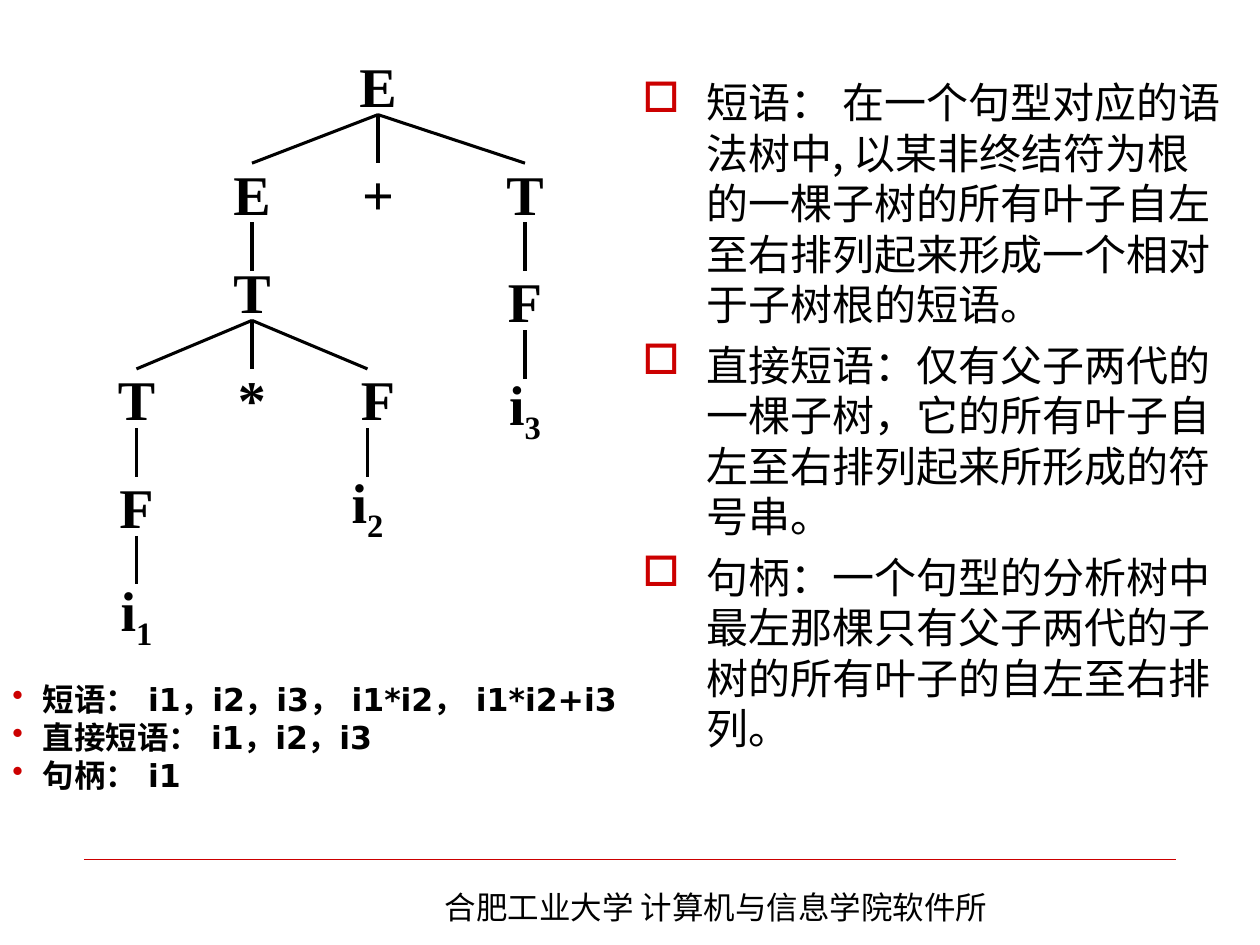
"""Build a slide on phrases and handles of a syntax tree."""
from dataclasses import dataclass

import pptx
import pptx.dml.color
import pptx.enum.shapes
import pptx.enum.text
import pptx.oxml
import pptx.oxml.ns
import pptx.util

WIDTH, HEIGHT = 10, 7.5
COLUMN = WIDTH / 120
TREE_TOP, LEVEL = 0.44, 0.855
LABEL_WIDTH, LABEL_HEIGHT = 8 * COLUMN, 0.47
BLACK, RED = "000000", "CC0000"
CJK, SANS, SERIF = "Noto Sans CJK SC", "DejaVu Sans", "Times New Roman"


@dataclass
class Node:
    """A tree symbol placed by column and level, with its label's shift."""
    symbol: str
    column: float
    level: float
    parent: str = ""
    subscript: str = ""
    shift: float = 0
    rise: float = 0

    @property
    def x(self) -> float:
        """Return the centre of the branch in inches."""
        return self.column * COLUMN

    @property
    def top(self) -> float:
        """Return the top of the label in inches."""
        return TREE_TOP + (self.level - self.rise) * LEVEL


@dataclass
class Bullet:
    """A bullet mark and its hanging indent in inches."""
    mark: str
    indent: float


TREE = {
    "sum": Node("E", 36, 0),
    "left": Node("E", 24, 1, "sum"),
    "plus": Node("+", 36, 1, "sum"),
    "right": Node("T", 50, 1, "sum"),
    "product": Node("T", 24, 2, "left", rise=0.09),
    "factor 3": Node("F", 50, 2, "right"),
    "first term": Node("T", 13, 2.91, "product"),
    "times": Node("*", 24, 2.91, "product"),
    "factor 2": Node("F", 35, 2.91, "product", shift=1),
    "i3": Node("i", 50, 3, "factor 3", "3"),
    "factor 1": Node("F", 13, 3.91, "first term"),
    "i2": Node("i", 35, 3.91, "factor 2", "2"),
    "i1": Node("i", 13, 4.91, "factor 1", "1"),
}

DEFINITIONS = [
    "短语： 在一个句型对应的语法树中, 以某非终结符为根的一棵子树的所有叶子自左至右排列起来形成一个相对于子树根的短语。",
    "直接短语：仅有父子两代的一棵子树，它的所有叶子自左至右排列起来所形成的符号串。",
    "句柄：一个句型的分析树中最左那棵只有父子两代的子树的所有叶子的自左至右排列。",
]
ANSWERS = ["短语： i1，i2，i3， i1*i2， i1*i2+i3", "直接短语： i1，i2，i3", "句柄： i1"]


def color(value: str) -> pptx.dml.color.RGBColor:
    """Turn a hex string into a colour."""
    return pptx.dml.color.RGBColor.from_string(value)


def add_bullet(paragraph, bullet: Bullet) -> None:
    """Give a paragraph a red bullet with a hanging indent."""
    properties = paragraph._p.get_or_add_pPr()
    indent = pptx.util.Inches(bullet.indent)
    properties.set("marL", str(indent))
    properties.set("indent", str(-indent))
    namespace = pptx.oxml.ns.nsdecls("a")
    for xml in (f'<a:buClr {namespace}><a:srgbClr val="{RED}"/></a:buClr>',
                f'<a:buChar {namespace} char="{bullet.mark}"/>'):
        properties.append(pptx.oxml.parse_xml(xml))


def add_run(paragraph, text: str, size: float, font: str, bold: bool, baseline: int = 0) -> None:
    """Append formatted text to a paragraph."""
    run = paragraph.add_run()
    run.text = text
    run.font.size = pptx.util.Pt(size)
    run.font.name = font
    run.font.bold = bold
    run.font.color.rgb = color(BLACK)
    properties = run._r.get_or_add_rPr()
    if baseline:
        properties.set("baseline", str(baseline))
    east_asian = pptx.oxml.parse_xml(
        f'<a:ea {pptx.oxml.ns.nsdecls("a")} typeface="{font}"/>')
    properties.find(pptx.oxml.ns.qn("a:latin")).addnext(east_asian)


def add_text(slide, lines: list[str], left: float, top: float, width: float, height: float, *,
             size: float, font: str, bold: bool = False, subscript: str = "",
             bullet: Bullet | None = None, space: float = 0, centered: bool = False,
             inset: float = 0.05):
    """Add a text box with one paragraph for each line."""
    box = slide.shapes.add_textbox(*map(pptx.util.Inches, (left, top, width, height)))
    frame = box.text_frame
    frame.word_wrap = not centered
    frame.margin_top = pptx.util.Inches(inset)
    if centered:
        frame.vertical_anchor = pptx.enum.text.MSO_ANCHOR.MIDDLE
    for index, line in enumerate(lines):
        paragraph = frame.add_paragraph() if index else frame.paragraphs[0]
        if bullet:
            add_bullet(paragraph, bullet)
        if centered:
            paragraph.alignment = pptx.enum.text.PP_ALIGN.CENTER
        else:
            paragraph.line_spacing = pptx.util.Pt(round(size * 1.2, 1))
        if index and space:
            paragraph.space_before = pptx.util.Pt(space)
        add_run(paragraph, line, size, font, bold)
        if subscript:
            add_run(paragraph, subscript, size, font, bold, -25000)
    return box


def add_line(slide, start: tuple[float, float], end: tuple[float, float],
             line_color: str, weight: float):
    """Add a straight line without a shadow."""
    line = slide.shapes.add_connector(
        pptx.enum.shapes.MSO_CONNECTOR.STRAIGHT, *map(pptx.util.Inches, start + end))
    line.line.color.rgb = color(line_color)
    line.line.width = pptx.util.Pt(weight)
    line._element.spPr.append(
        pptx.oxml.parse_xml(f'<a:effectLst {pptx.oxml.ns.nsdecls("a")}/>'))
    return line


def draw_tree(slide, tree: dict[str, Node]) -> None:
    """Draw the symbols and the branches between them."""
    labels = {
        key: add_text(slide, [node.symbol], node.x + node.shift * COLUMN - LABEL_WIDTH / 2,
                      node.top, LABEL_WIDTH, LABEL_HEIGHT, size=32, font=SERIF, bold=True,
                      subscript=node.subscript, centered=True)
        for key, node in tree.items()
    }
    for key, node in tree.items():
        if not node.parent:
            continue
        parent = tree[node.parent]
        branch = add_line(slide, (parent.x, parent.top + LABEL_HEIGHT),
                          (node.x, TREE_TOP + node.level * LEVEL), BLACK, 1.75)
        if not parent.shift:
            branch.begin_connect(labels[node.parent], 2)
        if not (node.shift or node.rise):
            branch.end_connect(labels[key], 0)


def main() -> None:
    """Build and save the slide."""
    deck = pptx.Presentation()
    deck.slide_width = pptx.util.Inches(WIDTH)
    deck.slide_height = pptx.util.Inches(HEIGHT)
    slide = deck.slides.add_slide(deck.slide_layouts[6])
    rule_y = HEIGHT / 11
    add_line(slide, (WIDTH / 15, HEIGHT - rule_y), (WIDTH * 14 / 15, HEIGHT - rule_y), RED, 0.25)
    add_text(slide, ["合肥工业大学 计算机与信息学院软件所"], 3.43, 6.97, 4.8, 0.4,
             size=18, font=CJK, inset=0.08)
    add_text(slide, DEFINITIONS, WIDTH / 2, 0.52, 4.82, 5.52, size=24, font=CJK,
             bullet=Bullet("□", 0.51), space=6, inset=0.09)
    draw_tree(slide, TREE)
    add_text(slide, ANSWERS, 0, 5.32, 5.36, 1, size=18, font=SANS, bold=True,
             bullet=Bullet("•", 0.24), inset=0.08)
    deck.save("out.pptx")


if __name__ == "__main__":
    main()
